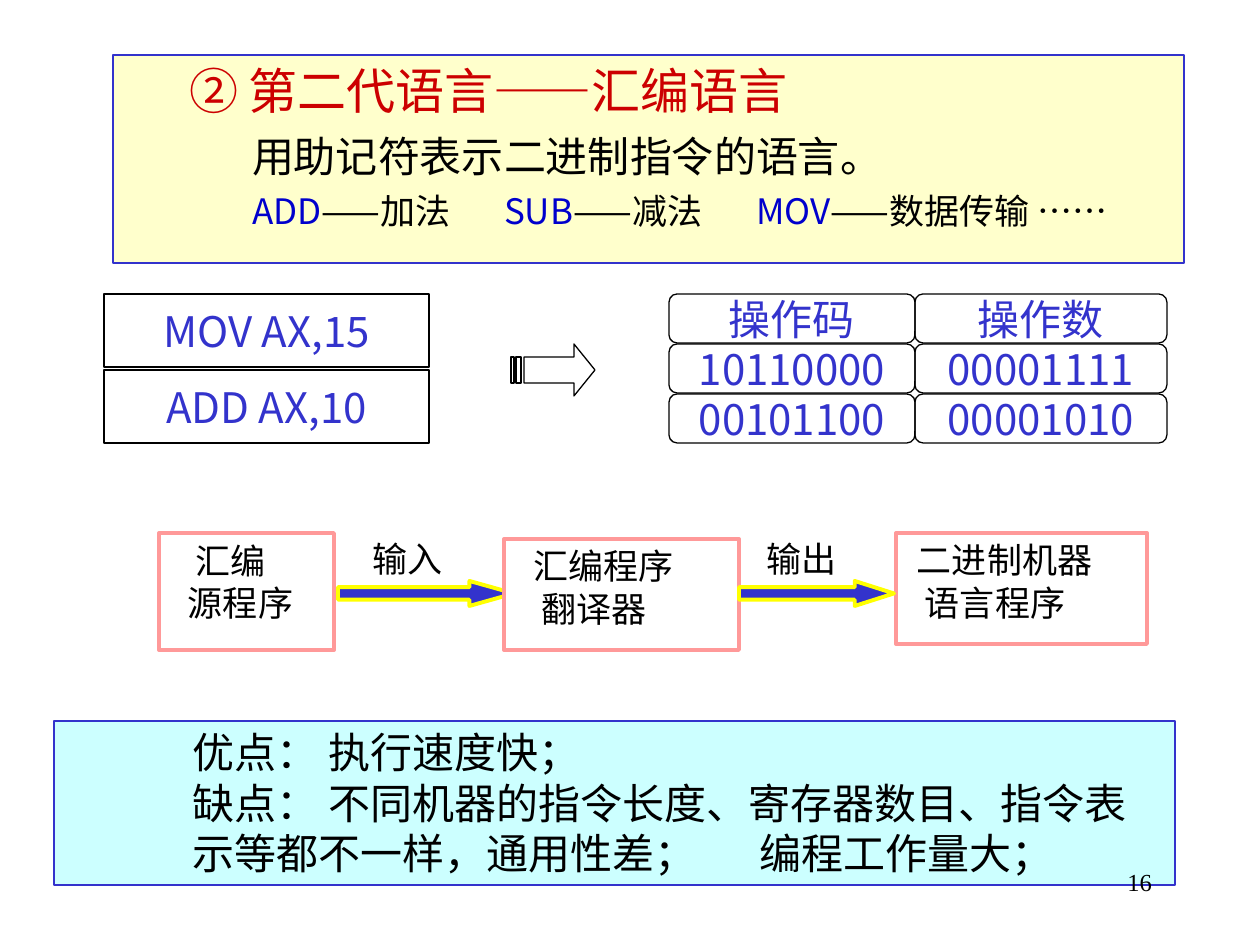
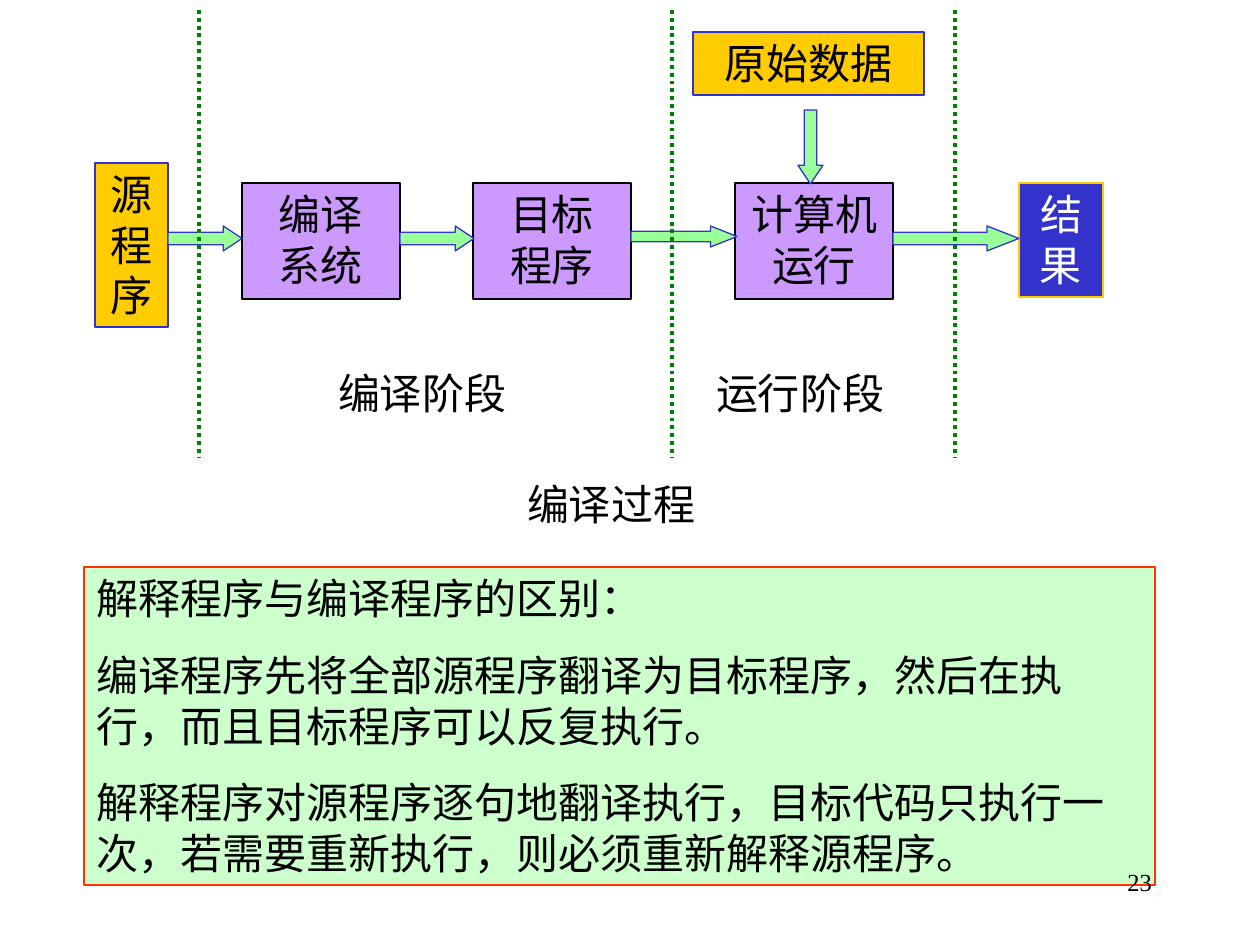
"""Build two slides on assembly language and the compiling process."""
from dataclasses import dataclass

from lxml import etree
from pptx import Presentation
from pptx import util as u
from pptx.dml.color import RGBColor
from pptx.enum import dml, shapes, text
from pptx.oxml import ns

PX = 914400 / 126
KIND = shapes.MSO_SHAPE
CENTER = text.PP_ALIGN.CENTER


@dataclass(frozen=True)
class Theme:
    """Colours, type sizes and fonts used on every slide."""
    black: str = "000000"
    white: str = "FFFFFF"
    blue: str = "3333CC"
    deep_blue: str = "0000CC"
    red: str = "CC0000"
    cream: str = "FFFFCC"
    cyan: str = "CCFFFF"
    mint: str = "CCFFCC"
    orange_red: str = "FF3300"
    pink: str = "FF9999"
    yellow: str = "FFFF00"
    gold: str = "FFCC00"
    violet: str = "CC99FF"
    green: str = "99FF99"
    dark_green: str = "008000"
    heading: int = 28
    body: int = 24
    small: int = 20
    number: int = 14
    thin: float = 0.75
    thick: float = 2.25
    leading: float = 1.2
    sans: str = "Noto Sans CJK SC"
    serif: str = "Times New Roman"


THEME = Theme()


@dataclass
class Line:
    """One paragraph: its runs of (text, colour) and its format."""
    runs: list
    size: int = THEME.body
    align: int = text.PP_ALIGN.LEFT
    before: float = 0
    indent: int = 0
    tabs: tuple = ()
    font: str = THEME.sans


def px(length):
    """Turn a length in px into EMU."""
    return u.Emu(round(length * PX))


def apply(target, values):
    """Set each attribute of a target from a dict."""
    for name, value in values.items():
        setattr(target, name, value)


def lines(*texts, color=THEME.black, **style):
    """Make one single-coloured line for each text."""
    return [Line([(words, color)], **style) for words in texts]


def paint(shape, fill=None, outline=None, width=THEME.thin):
    """Set the fill and outline of a shape and drop its shadow."""
    shape.shadow.inherit = False
    if fill:
        shape.fill.solid()
        shape.fill.fore_color.rgb = RGBColor.from_string(fill)
    else:
        shape.fill.background()
    if outline:
        shape.line.color.rgb = RGBColor.from_string(outline)
        shape.line.width = u.Pt(width)
    else:
        shape.line.fill.background()


def add_run(paragraph, words, color, line):
    """Add one run in the font and size of its line."""
    run = paragraph.add_run()
    run.text = words
    apply(run.font, {"size": u.Pt(line.size), "name": line.font, "bold": False})
    run.font.color.rgb = RGBColor.from_string(color)
    east_asian = etree.SubElement(run.font._element, ns.qn("a:ea"))
    east_asian.set("typeface", THEME.sans)


def write(shape, content, anchor=text.MSO_ANCHOR.TOP, wrap=True, inset=13):
    """Write lines into a shape."""
    frame = shape.text_frame
    apply(frame, {
        "auto_size": text.MSO_AUTO_SIZE.NONE, "word_wrap": wrap,
        "vertical_anchor": anchor, "margin_left": px(inset),
        "margin_right": px(13), "margin_top": px(6), "margin_bottom": px(6)})
    for index, line in enumerate(content):
        paragraph = frame.add_paragraph() if index else frame.paragraphs[0]
        properties = paragraph._p.get_or_add_pPr()
        apply_xml = {"marL": 0, "indent": px(line.indent), "hangingPunct": 0}
        for name, value in apply_xml.items():
            properties.set(name, str(value))
        etree.SubElement(properties, ns.qn("a:buNone"))
        if line.tabs:
            stops = etree.SubElement(properties, ns.qn("a:tabLst"))
            for stop in line.tabs:
                etree.SubElement(stops, ns.qn("a:tab"), pos=str(px(stop)), algn="l")
        apply(paragraph, {
            "alignment": line.align, "space_after": u.Pt(0),
            "space_before": u.Pt(line.before if index else 0),
            "line_spacing": u.Pt(line.size * THEME.leading)})
        for words, color in line.runs:
            add_run(paragraph, words, color, line)


def add_box(slide, box, content=(), kind=KIND.RECTANGLE, fill=None, outline=None,
            width=THEME.thin, **layout):
    """Add a preset shape with text."""
    shape = slide.shapes.add_shape(kind, *map(px, box))
    paint(shape, fill, outline, width)
    write(shape, content, **layout)
    return shape


def add_label(slide, box, content):
    """Add a plain text box."""
    write(slide.shapes.add_textbox(*map(px, box)), content)


def add_arrow(slide, box, head, kind=KIND.RIGHT_ARROW, fill=THEME.green,
              outline=THEME.blue, width=THEME.thin):
    """Add a block arrow with a given head length."""
    arrow = add_box(slide, box, kind=kind, fill=fill, outline=outline, width=width)
    arrow.adjustments[0], arrow.adjustments[1] = 0.5, head


def add_page_number(slide, number):
    """Add the page number at the lower right."""
    add_label(slide, (903, 861, 262, 63), lines(
        number, size=THEME.number, font=THEME.serif, align=text.PP_ALIGN.RIGHT))


def add_definition(slide, box):
    """Fill the body placeholder with the definition of assembly language."""
    title, body = slide.shapes.title, slide.placeholders[1]
    title._element.getparent().remove(title._element)
    apply(body, dict(zip(("left", "top", "width", "height"), map(px, box))))
    paint(body, THEME.cream, THEME.blue)
    mnemonics = [("ADD", THEME.deep_blue), ("——加法\t", THEME.black),
                 ("SUB", THEME.deep_blue), ("——减法\t", THEME.black),
                 ("MOV", THEME.deep_blue), ("——数据传输 ……", THEME.black)]
    write(body, [
        *lines("② 第二代语言——汇编语言", color=THEME.red, size=THEME.heading, indent=63),
        *lines("用助记符表示二进制指令的语言。", before=6, indent=126),
        Line(mnemonics, THEME.small, before=5, indent=126, tabs=(366, 596))])


def add_cells(slide, left, top, widths, height, pitch, rows, kind):
    """Add a grid of outlined cells."""
    for row, texts in enumerate(rows):
        for column, words in enumerate(texts):
            box = (left + sum(widths[:column]), top + row * pitch, widths[column], height)
            add_box(slide, box, lines(words, color=THEME.blue, align=CENTER), kind,
                    outline=THEME.black, anchor=text.MSO_ANCHOR.MIDDLE, wrap=False)


def add_striped_arrow(slide, left, top):
    """Draw an arrow with two stripes at its tail."""
    outlines = [
        [(13, 13), (63, 13), (63, 0), (84, 26), (63, 52), (63, 39), (13, 39)],
        *[[(start, 13), (end, 13), (end, 39), (start, 39)]
          for start, end in ((0, 3), (5, 10))]]
    builder = None
    for outline in outlines:
        points = [(left + x, top + y) for x, y in outline]
        if builder is None:
            builder = slide.shapes.build_freeform(*points[0], scale=PX)
        else:
            builder.move_to(*points[0])
        builder.add_line_segments(points[1:], close=True)
    paint(builder.convert_to_shape(), outline=THEME.black)


def add_translation(slide, left, top):
    """Show source, translator and machine program joined by arrows."""
    small = {"size": THEME.small}
    for x, width, words, indent in ((201, 136, "输入", 0), (588, 117, "输出", 6)):
        add_box(slide, (left + x, top, width, 53),
                lines(words, indent=indent, **small), fill=THEME.white)
    stages = [((0, 1, 175, 117), (("汇编", 24), ("源程序", 16)), (179, 176, 1.78)),
              ((737, 1, 251, 111), (("二进制机器", 8), ("语言程序", 16)), None),
              ((345, 7, 235, 111), (("汇编程序", 16), ("翻译器", 24)), (580, 155, 1.57))]
    for (x, y, width, height), texts, arrow in stages:
        content = [Line([(words, THEME.black)], indent=indent, **small)
                   for words, indent in texts]
        add_box(slide, (left + x, top + y, width, height), content,
                fill=THEME.white, outline=THEME.pink, width=THEME.thick)
        if arrow:
            start, length, head = arrow
            add_arrow(slide, (left + start, top + 49, length, 25), head,
                      fill=THEME.blue, outline=THEME.yellow, width=THEME.thick)


def build_assembly_slide(presentation):
    """Build the slide on assembly language."""
    slide = presentation.slides.add_slide(presentation.slide_layouts[1])
    add_definition(slide, (113, 55, 1071, 208))
    add_cells(slide, 669, 294, (246, 252), 49, 50,
              [("操作码", "操作数"), ("10110000", "00001111"), ("00101100", "00001010")],
              KIND.ROUNDED_RECTANGLE)
    add_cells(slide, 104, 294, (325,), 73, 76, [("MOV AX,15",), ("ADD AX,10",)],
              KIND.RECTANGLE)
    add_striped_arrow(slide, 511, 344)
    add_translation(slide, 159, 532)
    add_box(slide, (54, 721, 1121, 164), [
        *lines("优点： 执行速度快；"),
        *lines("缺点： 不同机器的指令长度、寄存器数目、指令表示等都不一样，"
               "通用性差；\t编程工作量大；", tabs=(532,))],
        fill=THEME.cyan, outline=THEME.blue, inset=139)
    add_page_number(slide, "16")


def add_compile_flow(slide, left, top):
    """Show the path from source program to result."""
    steps = [((147, 151, 158, 116), ("编译", "系统"), THEME.violet, THEME.black),
             ((378, 151, 158, 116), ("目标", "程序"), THEME.violet, THEME.black),
             ((640, 151, 158, 116), ("计算机运行",), THEME.violet, THEME.black),
             ((0, 131, 73, 164), ("源程序",), THEME.gold, THEME.blue),
             ((924, 151, 84, 114), ("结果",), THEME.blue, THEME.gold),
             ((598, 0, 231, 63), ("原始数据",), THEME.gold, THEME.blue)]
    for (x, y, width, height), texts, fill, outline in steps:
        color = THEME.white if fill == THEME.blue else THEME.black
        add_box(slide, (left + x, top + y, width, height),
                lines(*texts, color=color, align=CENTER), fill=fill, outline=outline)
    add_arrow(slide, (left + 703, top + 78, 25, 74), 0.75, KIND.DOWN_ARROW)
    for x, width, height, head in ((73, 74, 25, 0.75), (305, 74, 25, 0.75),
                                   (536, 106, 21, 1.26), (798, 126, 25, 1.28)):
        add_arrow(slide, (left + x, top + 194, width, height), head)


def add_stages(slide, top, bottom):
    """Divide the flow into stages and name them."""
    for x in (199, 672, 955):
        ends = map(px, (x, top, x, bottom))
        divider = slide.shapes.add_connector(shapes.MSO_CONNECTOR.STRAIGHT, *ends)
        divider.line.color.rgb = RGBColor.from_string(THEME.dark_green)
        apply(divider.line, {"width": u.Pt(THEME.thick),
                             "dash_style": dml.MSO_LINE.ROUND_DOT})
        etree.SubElement(divider._element.spPr, ns.qn("a:effectLst"))
    for x, y, words in ((325, 352, "编译阶段"), (703, 352, "运行阶段"),
                        (514, 463, "编译过程")):
        add_label(slide, (x, top + y, 210, 63), lines(words, font=THEME.serif))


def build_compile_slide(presentation):
    """Build the slide on the compiling process."""
    slide = presentation.slides.add_slide(presentation.slide_layouts[6])
    add_compile_flow(slide, 95, 32)
    add_stages(slide, 10, 457)
    add_box(slide, (84, 567, 1071, 318), lines(
        "解释程序与编译程序的区别：",
        "编译程序先将全部源程序翻译为目标程序，然后在执行，而且目标程序可以反复执行。",
        "解释程序对源程序逐句地翻译执行，目标代码只执行一次，若需要重新执行，则必须重新解释源程序。",
        before=15, font=THEME.serif), fill=THEME.mint, outline=THEME.orange_red)
    add_page_number(slide, "23")


def main():
    """Build and save the presentation."""
    presentation = Presentation()
    apply(presentation, {"slide_width": px(1260), "slide_height": px(945)})
    build_assembly_slide(presentation)
    build_compile_slide(presentation)
    presentation.save("out.pptx")


if __name__ == "__main__":
    main()
